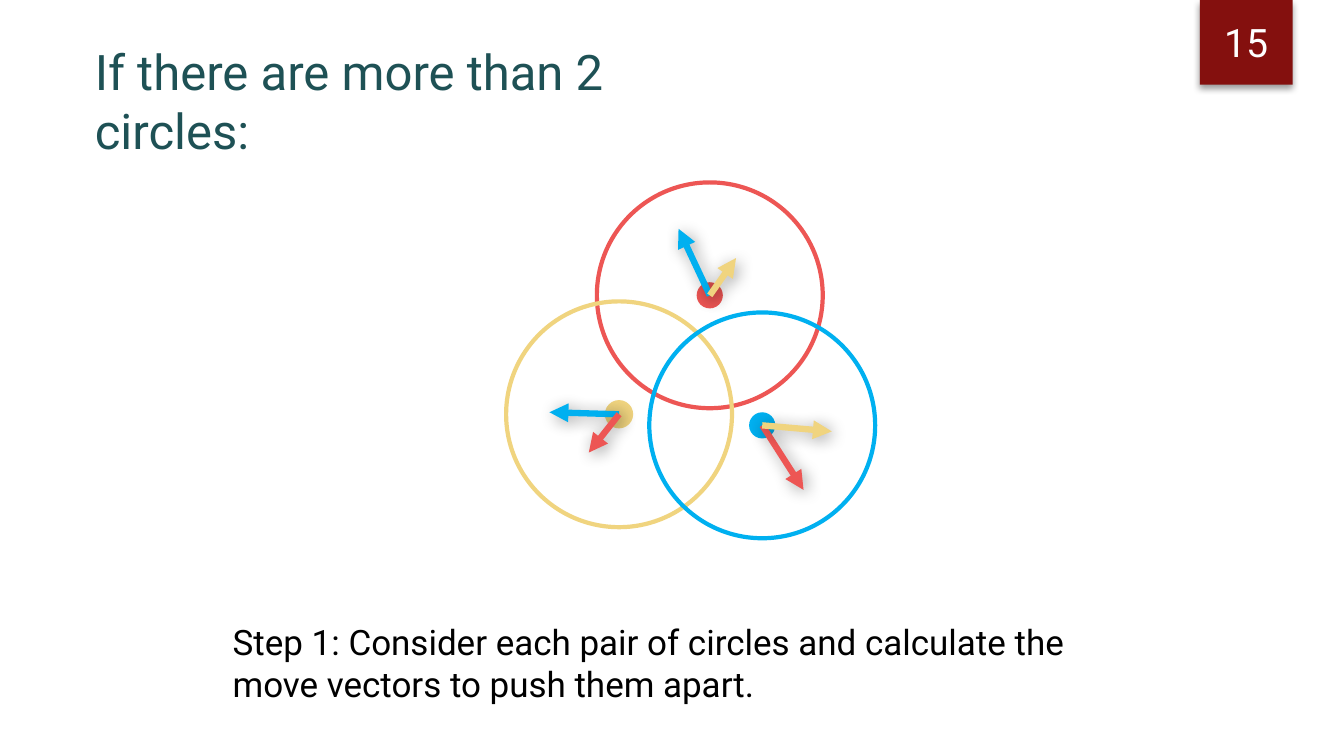
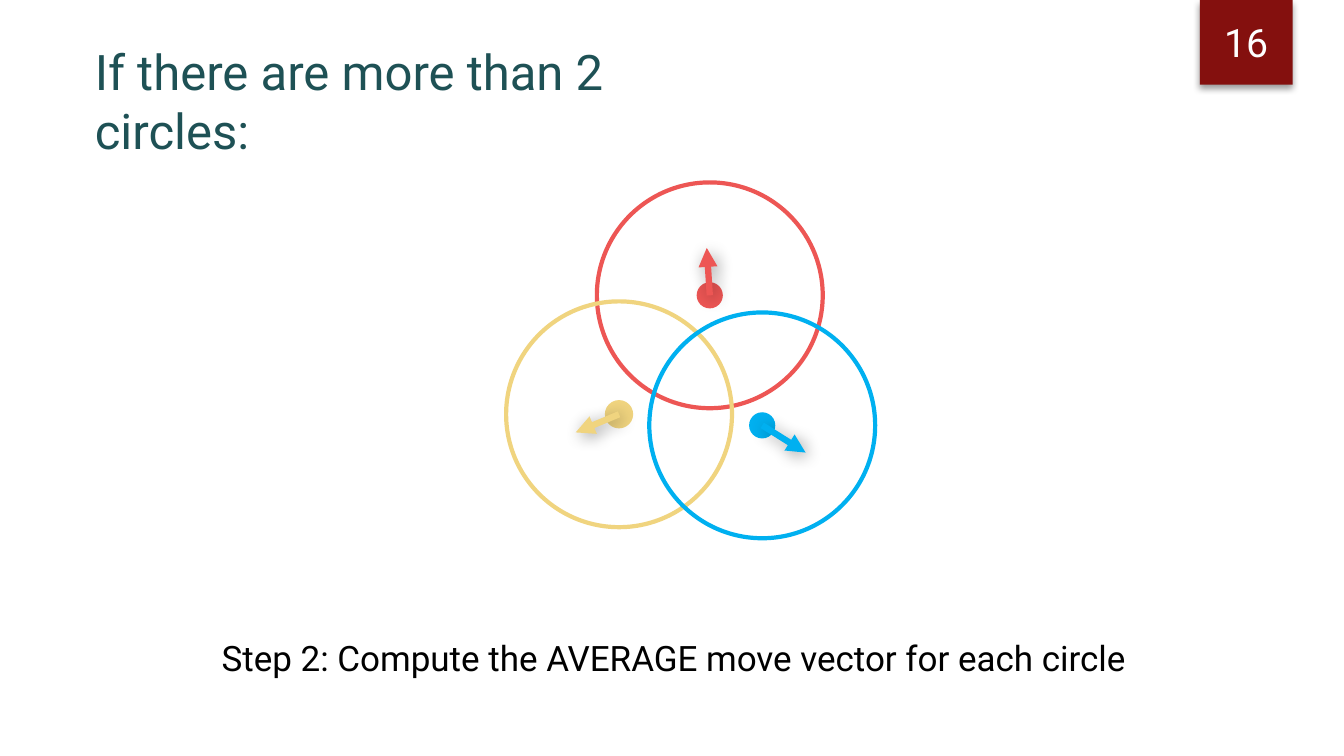
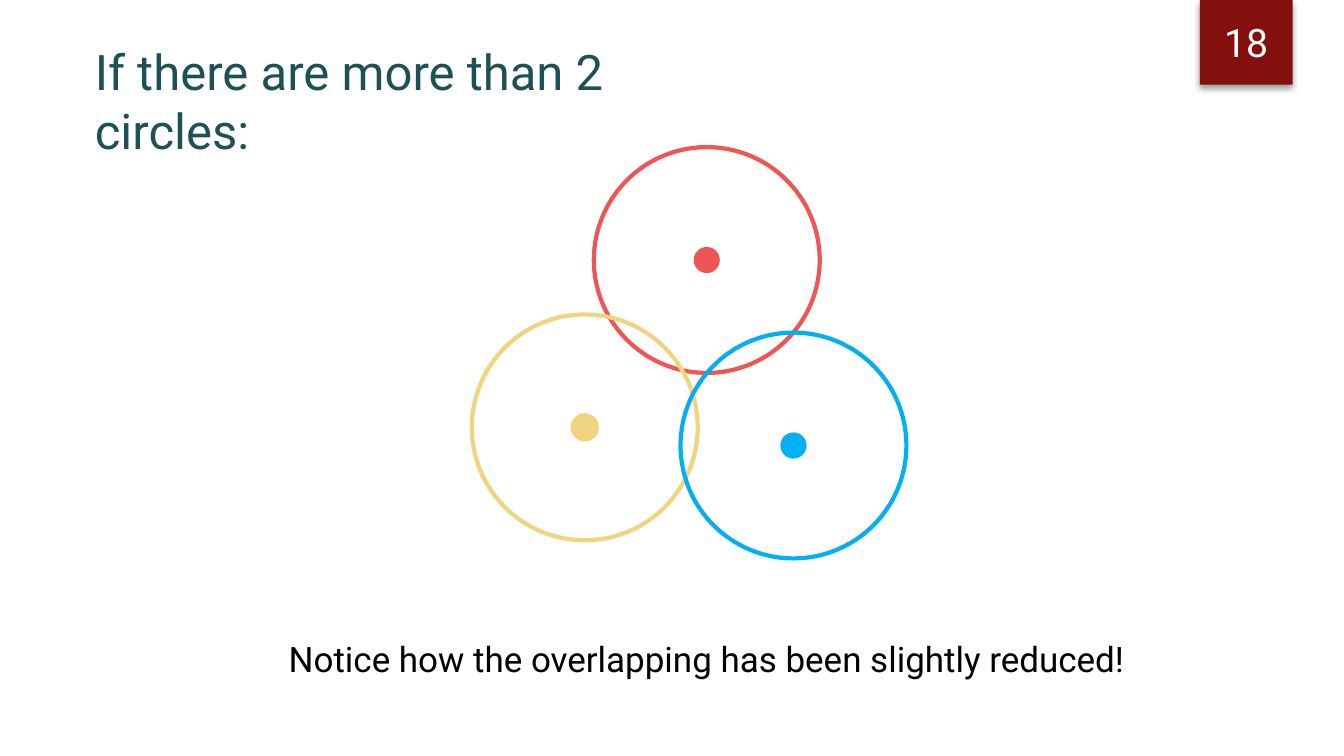
"""Build three slides on pushing overlapping circles apart."""
from lxml.etree import SubElement
from pptx import Presentation
from pptx.dml.color import RGBColor
from pptx.enum.shapes import MSO_CONNECTOR, MSO_SHAPE
from pptx.enum.text import MSO_ANCHOR, MSO_AUTO_SIZE, PP_ALIGN
from pptx.oxml.ns import qn
from pptx.util import Inches, Pt

FONT = "Roboto"
WHITE = RGBColor(0xFF, 0xFF, 0xFF)
BLACK = RGBColor(0x00, 0x00, 0x00)
TEAL = RGBColor(0x1E, 0x51, 0x55)
MAROON = RGBColor(0x84, 0x10, 0x0E)
RED = RGBColor(0xED, 0x56, 0x54)
YELLOW = RGBColor(0xF0, 0xD4, 0x7F)
BLUE = RGBColor(0x00, 0xB0, 0xF0)

SLIDE_SIZE = (13.33, 7.5)
TITLE = "If there are more than 2 circles:"
TITLE_BOX = (0.84, 0.36, 6.87, 1.25)
BADGE_BOX = (11.9, 0, 0.92, 0.84)
RING_DIAMETER = 2.24
DOT_DIAMETER = 0.26

OVERLAPPING = {RED: (7.04, 2.93), YELLOW: (6.14, 4.11), BLUE: (7.56, 4.22)}
SEPARATED = {RED: (7.01, 2.58), YELLOW: (5.8, 4.24), BLUE: (7.87, 4.42)}

# Each move is (circle, arrow colour, horizontal shift, vertical shift).
SLIDES = [
    {
        "number": "15",
        "centres": OVERLAPPING,
        "moves": [
            (RED, BLUE, -0.31, -0.66),
            (RED, YELLOW, 0.26, -0.37),
            (BLUE, RED, 0.41, 0.64),
            (BLUE, YELLOW, 0.69, 0.06),
            (YELLOW, BLUE, -0.69, -0.02),
            (YELLOW, RED, -0.3, 0.38),
        ],
        "caption": "Step 1: Consider each pair of circles and calculate the "
                   "move vectors to push them apart.",
        "caption_box": (2.21, 6.11, 9.24, 0.94),
        "align": PP_ALIGN.LEFT,
    },
    {
        "number": "16",
        "centres": OVERLAPPING,
        "moves": [
            (RED, RED, -0.03, -0.47),
            (BLUE, BLUE, 0.43, 0.27),
            (YELLOW, YELLOW, -0.43, 0.18),
        ],
        "caption": "Step 2: Compute the AVERAGE move vector for each circle",
        "caption_box": (2.1, 6.27, 9.88, 0.52),
        "align": PP_ALIGN.LEFT,
    },
    {
        "number": "18",
        "centres": SEPARATED,
        "moves": [],
        "caption": "Notice how the overlapping has been slightly reduced!",
        "caption_box": (1.83, 6.28, 10.35, 0.52),
        "align": PP_ALIGN.CENTER,
    },
]


def inches(lengths):
    """Turn plain numbers into slide lengths."""
    return [Inches(length) for length in lengths]


def write(shape, text, size, color, align=PP_ALIGN.LEFT, anchor=MSO_ANCHOR.TOP):
    """Fill a shape with one formatted paragraph."""
    frame = shape.text_frame
    frame.text = text
    frame.word_wrap = True
    frame.auto_size = MSO_AUTO_SIZE.NONE
    frame.vertical_anchor = anchor
    paragraph = frame.paragraphs[0]
    paragraph.alignment = align
    font = paragraph.runs[0].font
    font.name, font.size, font.color.rgb = FONT, Pt(size), color


def add_shadow(shape, blur, distance, angle):
    """Give a shape or connector a soft black shadow."""
    effects = SubElement(shape.element.spPr, qn("a:effectLst"))
    shadow = SubElement(effects, qn("a:outerShdw"), blurRad=str(Pt(blur)),
                        dist=str(Pt(distance)), dir=str(angle * 60000),
                        algn="ctr", rotWithShape="0")
    color = SubElement(shadow, qn("a:srgbClr"), val=str(BLACK))
    SubElement(color, qn("a:alpha"), val="40000")


def add_disc(group, centre, diameter, fill=None, line=None, width=3):
    """Add a circle around a centre point."""
    left, top = (position - diameter / 2 for position in centre)
    disc = group.shapes.add_shape(
        MSO_SHAPE.OVAL, *inches((left, top, diameter, diameter)))
    disc.shadow.inherit = False
    if fill is None:
        disc.fill.background()
    else:
        disc.fill.solid()
        disc.fill.fore_color.rgb = fill
    if line is None:
        disc.line.fill.background()
    else:
        disc.line.color.rgb = line
        disc.line.width = Pt(width)


def add_circle(slide, color, centre):
    """Add a ring grouped with its centre dot."""
    group = slide.shapes.add_group_shape()
    add_disc(group, centre, RING_DIAMETER, line=color)
    add_disc(group, centre, DOT_DIAMETER, fill=color,
             line=YELLOW if color == YELLOW else None, width=1.5)


def add_arrow(slide, start, shift, color):
    """Add a move vector from a circle's centre."""
    end = [position + change for position, change in zip(start, shift)]
    arrow = slide.shapes.add_connector(
        MSO_CONNECTOR.STRAIGHT, *inches((*start, *end)))
    arrow.line.color.rgb = color
    arrow.line.width = Pt(4.5)
    SubElement(arrow.element.spPr.find(qn("a:ln")), qn("a:tailEnd"), type="triangle")
    add_shadow(arrow, blur=12, distance=3, angle=45)


def add_badge(slide, number):
    """Add the slide number block at the top right."""
    badge = slide.shapes.add_shape(MSO_SHAPE.RECTANGLE, *inches(BADGE_BOX))
    badge.fill.solid()
    badge.fill.fore_color.rgb = MAROON
    badge.line.fill.background()
    add_shadow(badge, blur=5, distance=3, angle=90)
    write(badge, number, 28, WHITE, PP_ALIGN.CENTER, MSO_ANCHOR.MIDDLE)


def build_slide(presentation, layout, content):
    """Add one slide from its content."""
    slide = presentation.slides.add_slide(layout)
    add_badge(slide, content["number"])
    title = slide.shapes.title
    write(title, TITLE, 35, TEAL)
    title.text_frame.margin_right = Inches(0.3)
    caption = slide.shapes.add_textbox(*inches(content["caption_box"]))
    write(caption, content["caption"], 25, BLACK, content["align"])
    for color, centre in content["centres"].items():
        add_circle(slide, color, centre)
    for circle, color, *shift in content["moves"]:
        add_arrow(slide, content["centres"][circle], shift, color)


def main():
    """Build and save the presentation."""
    presentation = Presentation()
    presentation.slide_width, presentation.slide_height = inches(SLIDE_SIZE)
    layout = presentation.slide_layouts.get_by_name("Title Only")
    title = layout.placeholders[0]
    title.left, title.top, title.width, title.height = inches(TITLE_BOX)
    for content in SLIDES:
        build_slide(presentation, layout, content)
    presentation.save("out.pptx")


if __name__ == "__main__":
    main()
